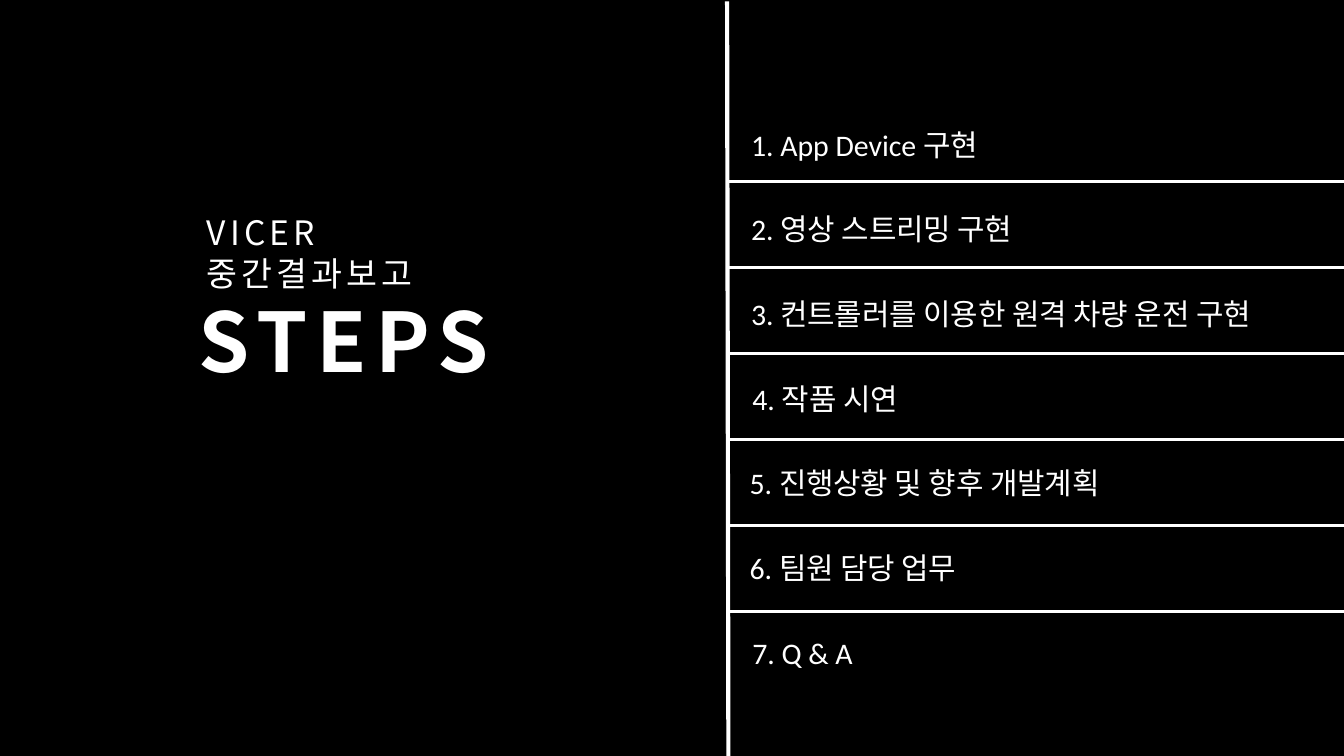
from pptx import Presentation
from pptx.dml.color import RGBColor
from pptx.enum.shapes import MSO_CONNECTOR as CONN, MSO_SHAPE as SHAPE
from pptx.enum.text import MSO_ANCHOR as ANCHOR, MSO_AUTO_SIZE as AUTO, PP_ALIGN as ALIGN
from pptx.oxml.ns import qn
from pptx.util import Inches, Pt
from lxml import etree

# Content
TITLE = "STEPS"
SUBTITLE = ["VICER", "중간결과보고"]
STEPS = [  # text, left, width
    ("1. App Device 구현", 5.49, 2.27),
    ("2. 영상 스트리밍 구현", 5.49, 3.18),
    ("3. 컨트롤러를 이용한 원격 차량 운전 구현", 5.49, 4.56),
    ("4. 작품 시연", 5.5, 2.27),
    ("5. 진행상황 및 향후 개발계획", 5.48, 3.56),
    ("6. 팀원 담당 업무", 5.48, 2.27),
    ("7. Q & A", 5.5, 2.27),
]

# Style and grid
BLACK = RGBColor(0, 0, 0)
WHITE = RGBColor(255, 255, 255)
SANS, BODY = "Noto Sans CJK KR", "Calibri"
SLIDE_WIDTH = 10
SLIDE_HEIGHT = SLIDE_WIDTH * 9 / 16
STEP_TOP, STEP_PITCH = 0.89, 0.63
RULE_TOP, RULE_PITCH = 1.35, 0.64
RULE_LEFT, RULE_WIDTH = 5.42, 4.63


def write(shape, lines, size, font, bold=False, spacing=0):
    tf = shape.text_frame
    tf.word_wrap = True
    tf.auto_size = AUTO.SHAPE_TO_FIT_TEXT
    tf.vertical_anchor = ANCHOR.TOP
    for i, line in enumerate(lines):
        p = tf.paragraphs[0] if i == 0 else tf.add_paragraph()
        p.alignment = ALIGN.LEFT
        r = p.add_run()
        r.text = line
        r.font.size, r.font.bold, r.font.name = Pt(size), bold, font
        r.font.color.rgb = WHITE
        rPr = r.font._element
        if spacing:
            rPr.set("spc", str(int(spacing * 100)))
        rPr.find(qn("a:latin")).addnext(
            rPr.makeelement(qn("a:ea"), {"typeface": font}))


def textbox(s, box, lines, **fmt):
    write(s.shapes.add_textbox(*map(Inches, box)), lines, **fmt)


def rule(s, x1, y1, x2, y2, width):
    line = s.shapes.add_connector(CONN.STRAIGHT, *map(Inches, (x1, y1, x2, y2)))
    line.line.color.rgb = WHITE
    line.line.width = Pt(width)
    etree.SubElement(line._element.spPr, qn("a:effectLst"))


prs = Presentation()
prs.slide_width, prs.slide_height = Inches(SLIDE_WIDTH), Inches(SLIDE_HEIGHT)
s = prs.slides.add_slide(prs.slide_layouts[5])

# Black backdrop, moved behind the title
backdrop = s.shapes.add_shape(SHAPE.RECTANGLE, *map(Inches, (0, -0.01, 10, 5.97)))
backdrop.shadow.inherit = False
backdrop.fill.solid()
backdrop.fill.fore_color.rgb = BLACK
backdrop.line.fill.background()
s.shapes.title._element.addprevious(backdrop._element)

# Title block
title = s.shapes.title
title.left, title.top, title.width, title.height = map(Inches, (1.38, 2.11, 2.71, 0.84))
write(title, [TITLE], size=44, font=SANS, bold=True, spacing=4.5)
textbox(s, (1.44, 1.53, 3.56, 0.71), SUBTITLE, size=18, font=SANS, spacing=2.2)

# Divider and list of steps
rule(s, 5.41, 0.01, 5.42, 5.63, 2.25)
for i, (text, left, width) in enumerate(STEPS):
    textbox(s, (left, STEP_TOP + i * STEP_PITCH, width, 0.37), [text], size=16, font=BODY)
    if i < len(STEPS) - 1:
        y = RULE_TOP + i * RULE_PITCH
        rule(s, RULE_LEFT, y, RULE_LEFT + RULE_WIDTH, y, 1.5)

prs.save("out.pptx")
